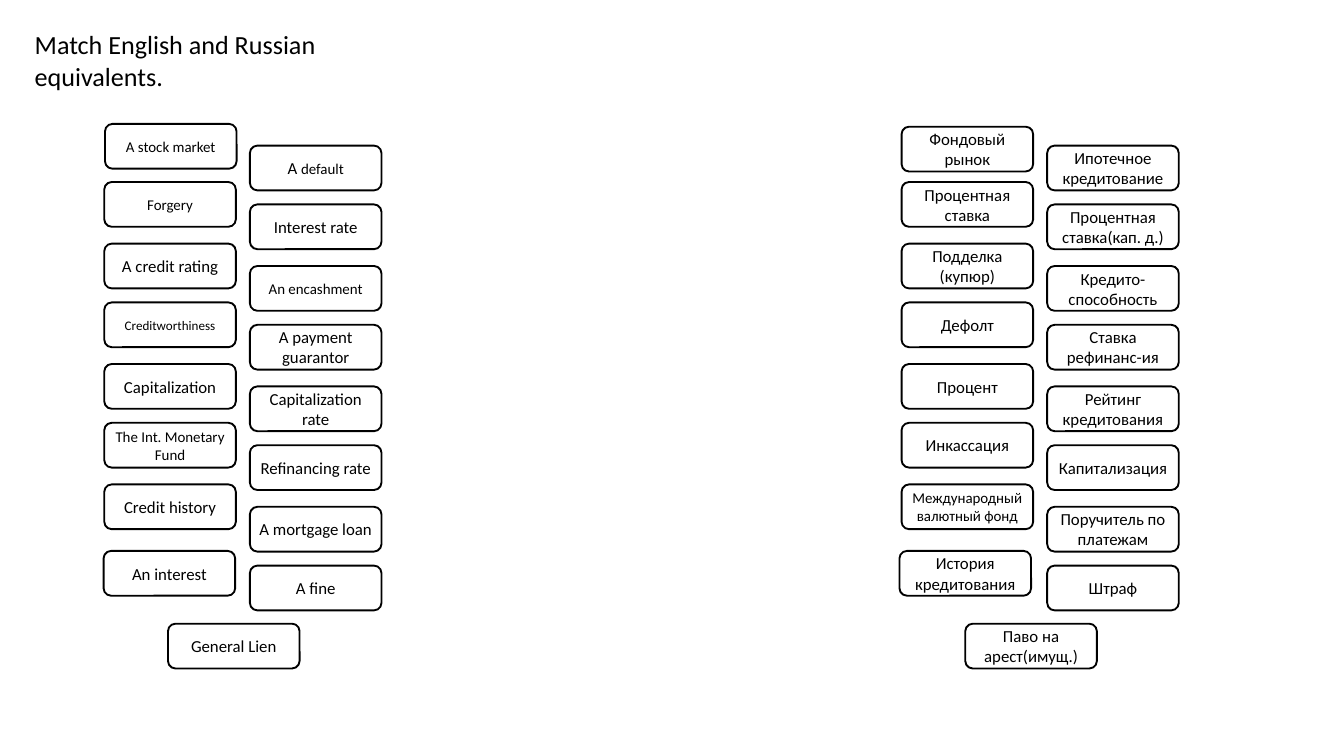
"""Build a vocabulary slide with English and Russian banking terms to match."""
from pptx import Presentation
from pptx.dml.color import RGBColor
from pptx.enum.shapes import MSO_SHAPE
from pptx.enum.text import MSO_ANCHOR, MSO_AUTO_SIZE, PP_ALIGN
from pptx.util import Pt

PX = 9525
BLACK = RGBColor(0x00, 0x00, 0x00)
WHITE = RGBColor(0xFF, 0xFF, 0xFF)
FONT = "Calibri"
ROUNDED = MSO_SHAPE.ROUNDED_RECTANGLE
MIDDLE, TOP = MSO_ANCHOR.MIDDLE, MSO_ANCHOR.TOP
CENTER, LEFT = PP_ALIGN.CENTER, PP_ALIGN.LEFT
FIT_SHAPE = MSO_AUTO_SIZE.SHAPE_TO_FIT_TEXT
TITLE_ONLY = 5

CARD_WIDTH, CARD_HEIGHT = 188, 64
COLUMN_STEP, COLUMN_DROP = 208, 32
FIRST_TOP, PAIR_STEP, ROW_STEP = 176, 172, 84
LAST_TOP, LAST_INDENT = 891, 91
ENGLISH_LEFT, RUSSIAN_LEFT = 149, 1288


def term(*lines, size=18):
    """Return one single-run paragraph per line."""
    return [[(line, size)] for line in lines]


ENGLISH = [
    [
        term("A stock market", size=16),
        term("Forgery", size=16),
        term("A credit rating"),
        term("Creditworthiness", size=14),
        term("Capitalization"),
        term("The Int. Monetary Fund", size=16),
        term("Credit history"),
        term("An interest"),
    ],
    [
        [[("A ", 18), ("default", 16)]],
        term("Interest rate"),
        term("An encashment", size=16),
        term("A payment guarantor"),
        term("Capitalization rate"),
        term("Refinancing rate"),
        term("A mortgage loan"),
        term("A fine"),
    ],
]
RUSSIAN = [
    [
        term("Фондовый", "рынок"),
        term("Процентная ставка"),
        term("Подделка", "(купюр)"),
        term("Дефолт"),
        term("Процент"),
        term("Инкассация"),
        term("Международный валютный фонд", size=16),
        term("История кредитования"),
    ],
    [
        term("Ипотечное кредитование"),
        term("Процентная ставка(кап. д.)"),
        term("Кредито- способность"),
        term("Ставка", "рефинанс-ия"),
        term("Рейтинг кредитования"),
        term("Капитализация"),
        term("Поручитель по платежам"),
        term("Штраф"),
    ],
]
ENGLISH_SHIFTS = {(0, 0): (1, 1), (0, 7): (-1, 11)}
RUSSIAN_SHIFTS = {(0, 0): (0, 5), (0, 7): (-3, 11)}


def add_run(paragraph, text, size):
    """Append a black run of the given size."""
    run = paragraph.add_run()
    run.text = text
    run.font.name = FONT
    run.font.size = Pt(size)
    run.font.color.rgb = BLACK


def set_title(slide, text):
    """Place and format the slide title."""
    title = slide.shapes.title
    title.left, title.top = 40 * PX, 36 * PX
    title.width, title.height = 568 * PX, 100 * PX
    frame = title.text_frame
    frame.word_wrap = True
    frame.auto_size = FIT_SHAPE
    frame.vertical_anchor = TOP
    heading = frame.paragraphs[0]
    heading.alignment = LEFT
    add_run(heading, text, 28)


def add_card(slide, left, top, lines):
    """Draw one outlined card with a centred term."""
    card = slide.shapes.add_shape(
        ROUNDED, left * PX, top * PX, CARD_WIDTH * PX, CARD_HEIGHT * PX
    )
    card.shadow.inherit = False
    card.fill.solid()
    card.fill.fore_color.rgb = WHITE
    card.line.color.rgb = BLACK
    card.line.width = Pt(2)
    frame = card.text_frame
    frame.word_wrap = True
    frame.vertical_anchor = MIDDLE
    for number, runs in enumerate(lines):
        line = frame.add_paragraph() if number else frame.paragraphs[0]
        line.alignment = CENTER
        for text, size in runs:
            add_run(line, text, size)


def add_term_group(slide, left, columns, last_term, shifts):
    """Lay out two staggered columns of cards and a closing card below."""
    for column, terms in enumerate(columns):
        for row, lines in enumerate(terms):
            pair, second = divmod(row, 2)
            shift_x, shift_y = shifts.get((column, row), (0, 0))
            card_left = left + column * COLUMN_STEP + shift_x
            card_top = FIRST_TOP + column * COLUMN_DROP + shift_y
            card_top += pair * PAIR_STEP + second * ROW_STEP
            add_card(slide, card_left, card_top, lines)
    add_card(slide, left + LAST_INDENT, LAST_TOP, last_term)


def main():
    """Create the slide and save it."""
    deck = Presentation()
    deck.slide_width, deck.slide_height = 1920 * PX, 1080 * PX
    slide = deck.slides.add_slide(deck.slide_layouts[TITLE_ONLY])
    set_title(slide, "Match English and Russian equivalents.")
    add_term_group(
        slide, ENGLISH_LEFT, ENGLISH, term("General Lien"), ENGLISH_SHIFTS
    )
    add_term_group(
        slide, RUSSIAN_LEFT, RUSSIAN, term("Паво на арест(имущ.)"), RUSSIAN_SHIFTS
    )
    deck.save("out.pptx")


if __name__ == "__main__":
    main()
